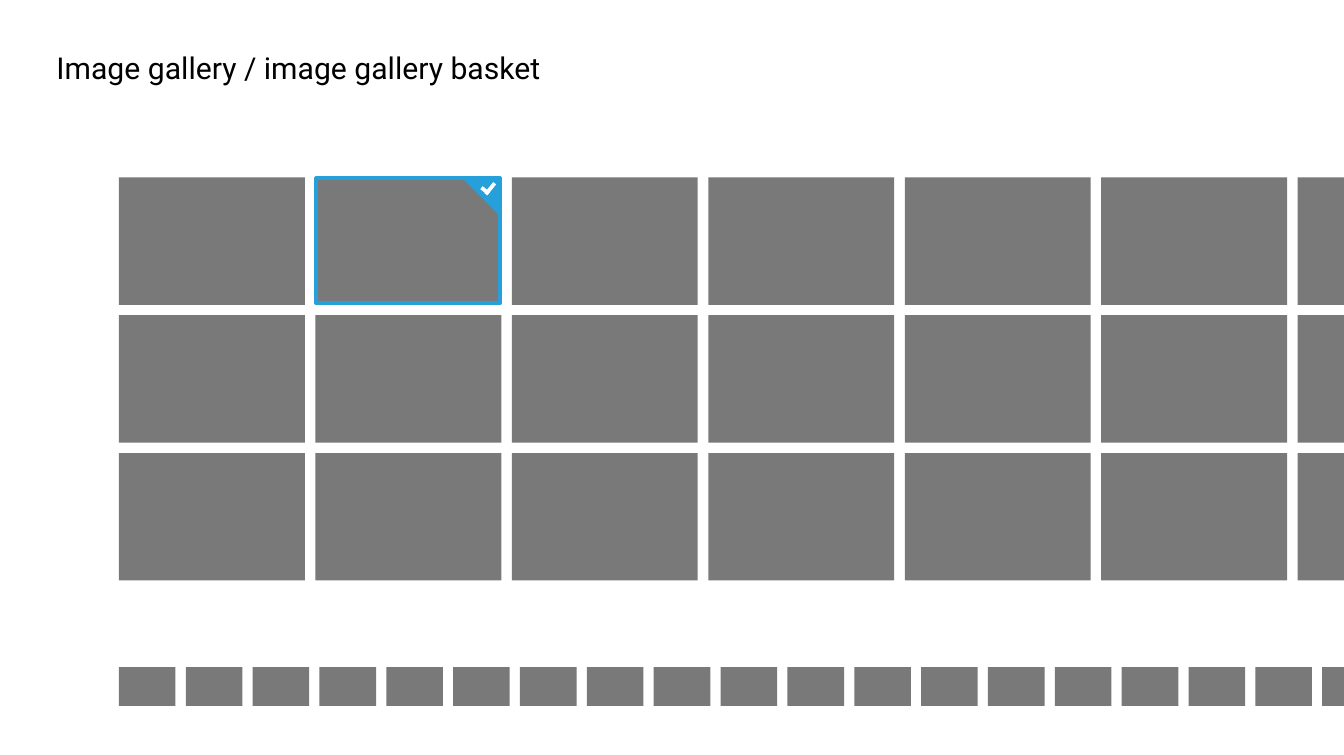
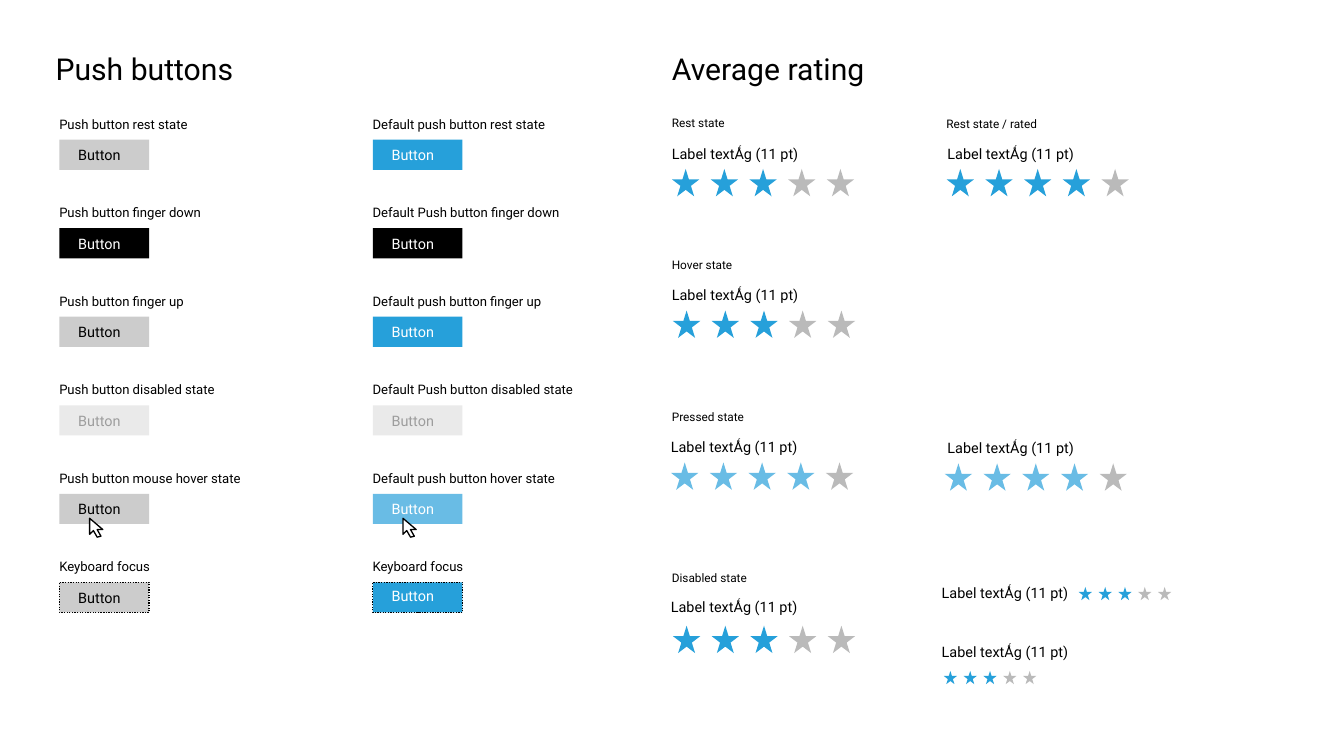
from dataclasses import dataclass

from pptx import Presentation
from pptx.dml.color import RGBColor
from pptx.enum.dml import MSO_LINE
from pptx.enum.shapes import MSO_SHAPE
from pptx.enum.text import MSO_AUTO_SIZE
from pptx.util import Inches, Pt


@dataclass(frozen=True)
class Theme:
    """Colours, font and type sizes that both slides share."""
    font: str = "Roboto"
    black: str = "000000"
    white: str = "FFFFFF"
    tile: str = "797979"
    accent: str = "26A0DA"
    accent_light: str = "69BCE5"
    button: str = "CCCCCC"
    disabled: str = "EAEAEA"
    disabled_text: str = "9D9D9D"
    star_off: str = "BABABA"
    title: int = 23
    label: int = 11
    caption: int = 10
    state: int = 9


theme = Theme()


def paint(shape, fill, line=None, width=1):
    """Give a shape a flat fill and an optional outline, and return it."""
    shape.shadow.inherit = False
    shape.fill.solid()
    shape.fill.fore_color.rgb = RGBColor.from_string(fill)
    if line:
        shape.line.color.rgb = RGBColor.from_string(line)
        shape.line.width = Pt(width)
    else:
        shape.line.fill.background()
    return shape


def write(shapes, text, box, size, color=theme.black):
    """Add one line of text in a box given in inches."""
    frame = shapes.add_textbox(*map(Inches, box)).text_frame
    frame.word_wrap = True
    frame.auto_size = MSO_AUTO_SIZE.SHAPE_TO_FIT_TEXT
    frame.text = text
    font = frame.paragraphs[0].runs[0].font
    font.name = theme.font
    font.size = Pt(size)
    font.color.rgb = RGBColor.from_string(color)


deck = Presentation()
slide_width = 14.24
deck.slide_width, deck.slide_height = Inches(slide_width), Inches(8)
blank = deck.slide_layouts[6]

# Slide 1: image gallery
gallery = deck.slides.add_slide(blank).shapes
write(gallery, "Image gallery / image gallery basket", (0.5, 0.47, 6.62, 0.49), theme.title)

# Each strip runs off the right edge: columns, last left, tops, tile width, tile height
strips = [
    (7, 13.75, (1.88, 3.34, 4.8), 1.97, 1.35),
    (19, 14.01, (7.07,), 0.6, 0.41),
]
first_left = 1.26
selected_tile = (1, 1.88)
for columns, last_left, tops, width, height in strips:
    pitch = (last_left - first_left) / (columns - 1)
    for column in range(columns):
        left = first_left + column * pitch
        for top in tops:
            if (column, top) == selected_tile:
                continue
            box = (left, top, min(width, slide_width - left), height)
            paint(gallery.add_shape(MSO_SHAPE.RECTANGLE, *map(Inches, box)), theme.tile)

# The selected tile with its ticked corner
selection = gallery.add_group_shape().shapes
frame_box = map(Inches, (3.35, 1.89, 1.95, 1.32))
paint(selection.add_shape(MSO_SHAPE.RECTANGLE, *frame_box), theme.tile, theme.accent, 3)
corner = selection.build_freeform(Inches(4.89), Inches(1.88))
corner.add_line_segments([(Inches(5.3), Inches(1.88)), (Inches(5.3), Inches(2.29))])
paint(corner.convert_to_shape(), theme.accent)
for box, angle in [((5.12, 1.98, 0.15, 0.04), 308.8), ((5.09, 2, 0.1, 0.04), 38.6)]:
    tick_stroke = selection.add_shape(MSO_SHAPE.RECTANGLE, *map(Inches, box))
    paint(tick_stroke, theme.white).rotation = angle

# Slide 2: push buttons and average rating
controls = deck.slides.add_slide(blank).shapes
write(controls, "Push buttons", (0.49, 0.48, 2.78, 0.49), theme.title)
write(controls, "Average rating", (7.02, 0.48, 2.43, 0.49), theme.title)

# Button columns: left, caption left, then caption, fill and text colour from the top down
button_columns = [
    (0.63, 0.53, [
        ("Push button rest state", theme.button, theme.black),
        ("Push button finger down", theme.black, theme.white),
        ("Push button finger up", theme.button, theme.black),
        ("Push button disabled state", theme.disabled, theme.disabled_text),
        ("Push button mouse hover state", theme.button, theme.black),
        ("Keyboard focus", theme.button, theme.black),
    ]),
    (3.95, 3.85, [
        ("Default push button rest state", theme.accent, theme.white),
        ("Default Push button finger down", theme.black, theme.white),
        ("Default push button finger up", theme.accent, theme.white),
        ("Default Push button disabled state", theme.disabled, theme.disabled_text),
        ("Default push button hover state", theme.accent_light, theme.white),
        ("Keyboard focus", theme.accent, theme.white),
    ]),
]
first_top, last_top = 1.48, 6.17
# Pointer outline, measured from the top left of its button
pointer = [(0.32, 0.26), (0.32, 0.43), (0.36, 0.39), (0.4, 0.46),
           (0.44, 0.45), (0.4, 0.38), (0.46, 0.38)]
for left, caption_left, states in button_columns:
    for row, (caption, fill, text_color) in enumerate(states):
        top = first_top + row * (last_top - first_top) / (len(states) - 1)
        write(controls, caption, (caption_left, top - 0.3, 3, 0.27), theme.caption)
        button = controls.add_group_shape().shapes
        focused = caption == "Keyboard focus"
        face = button.add_shape(MSO_SHAPE.RECTANGLE, *map(Inches, (left, top, 0.95, 0.32)))
        paint(face, fill, theme.black if focused else None)
        if focused:
            face.line.dash_style = MSO_LINE.ROUND_DOT
        text_top = top if focused and fill == theme.accent else top + 0.02
        write(button, "Button", (left + 0.1, text_top, 0.75, 0.29), theme.label, text_color)
        if "hover" in caption:
            outline = [(Inches(left + x), Inches(top + y)) for x, y in pointer]
            arrow = button.build_freeform(*outline[0])
            arrow.add_line_segments(outline[1:])
            paint(arrow.convert_to_shape(), theme.white, theme.black)

for state, left, top in [
    ("Rest state", 7.02, 1.18),
    ("Rest state / rated", 9.93, 1.19),
    ("Hover state", 7.02, 2.68),
    ("Pressed state", 7.02, 4.29),
    ("Disabled state", 7.02, 6),
]:
    write(controls, state, (left, top, 1.43, 0.25), theme.state)

# Ratings: label position, first star position, star size, pitch, stars lit, lit colour
ratings = [
    ((7.02, 1.49), (7.12, 1.79), 0.29, 0.41, 3, theme.accent),
    ((9.94, 1.49), (10.03, 1.79), 0.29, 0.41, 4, theme.accent),
    ((7.02, 2.98), (7.13, 3.29), 0.29, 0.41, 3, theme.accent),
    ((7.01, 4.59), (7.11, 4.9), 0.29, 0.41, 4, theme.accent_light),
    ((9.94, 4.6), (10.01, 4.91), 0.29, 0.41, 4, theme.accent_light),
    ((7.01, 6.29), (7.13, 6.63), 0.29, 0.41, 3, theme.accent),
    ((9.88, 6.14), (11.43, 6.22), 0.14, 0.21, 3, theme.accent),
    ((9.88, 6.77), (10, 7.11), 0.14, 0.21, 3, theme.accent),
]
for label_at, (left, top), size, pitch, lit, lit_color in ratings:
    write(controls, "Label textǺg (11 pt)", (*label_at, 1.56, 0.29), theme.label)
    stars = controls.add_group_shape().shapes
    for index in range(5):
        box = (left + index * pitch, top, size, size)
        star = stars.add_shape(MSO_SHAPE.STAR_5_POINT, *map(Inches, box))
        paint(star, lit_color if index < lit else theme.star_off)

deck.save("out.pptx")
